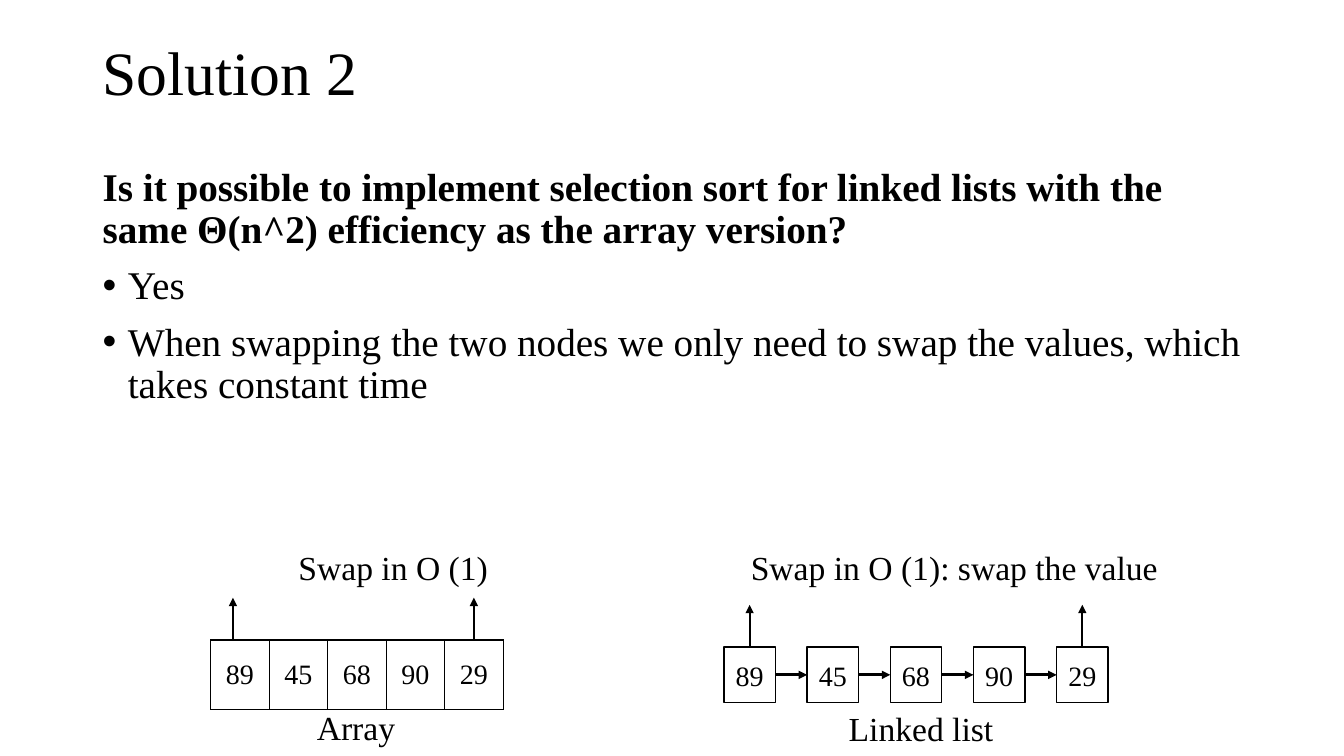
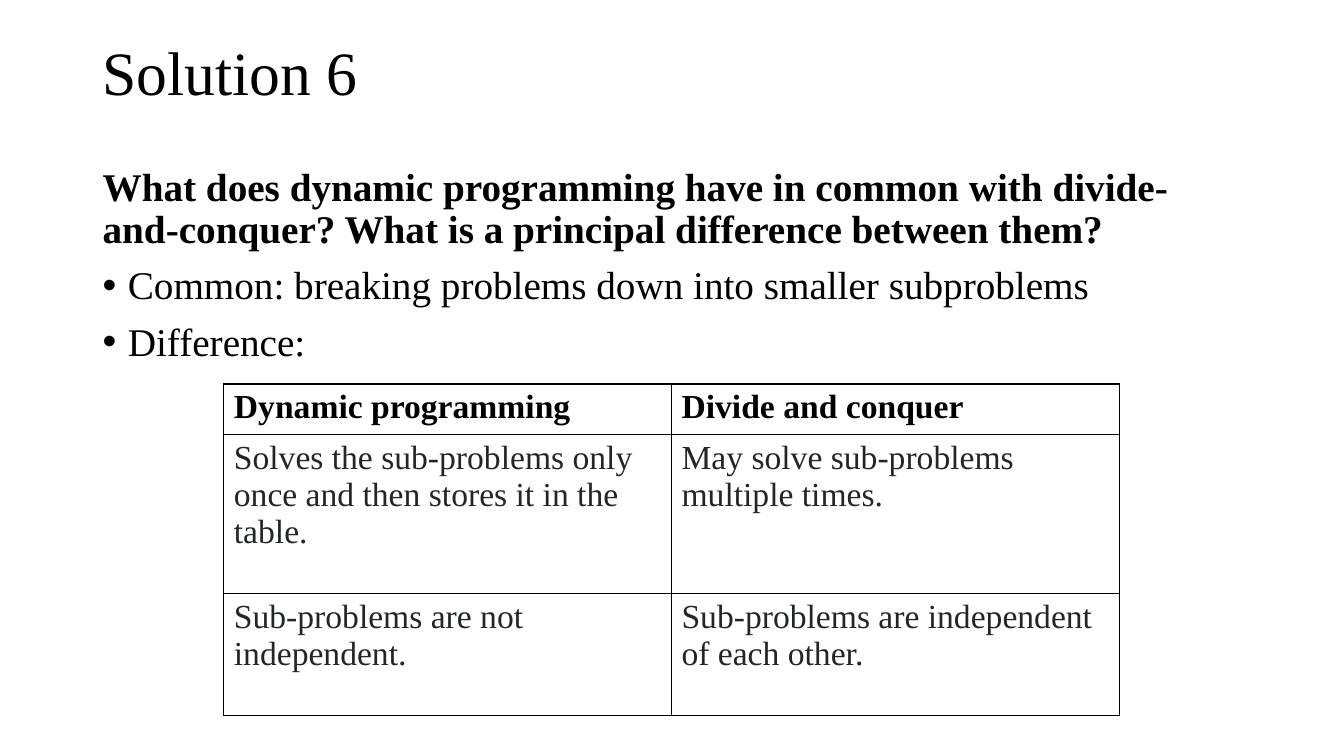
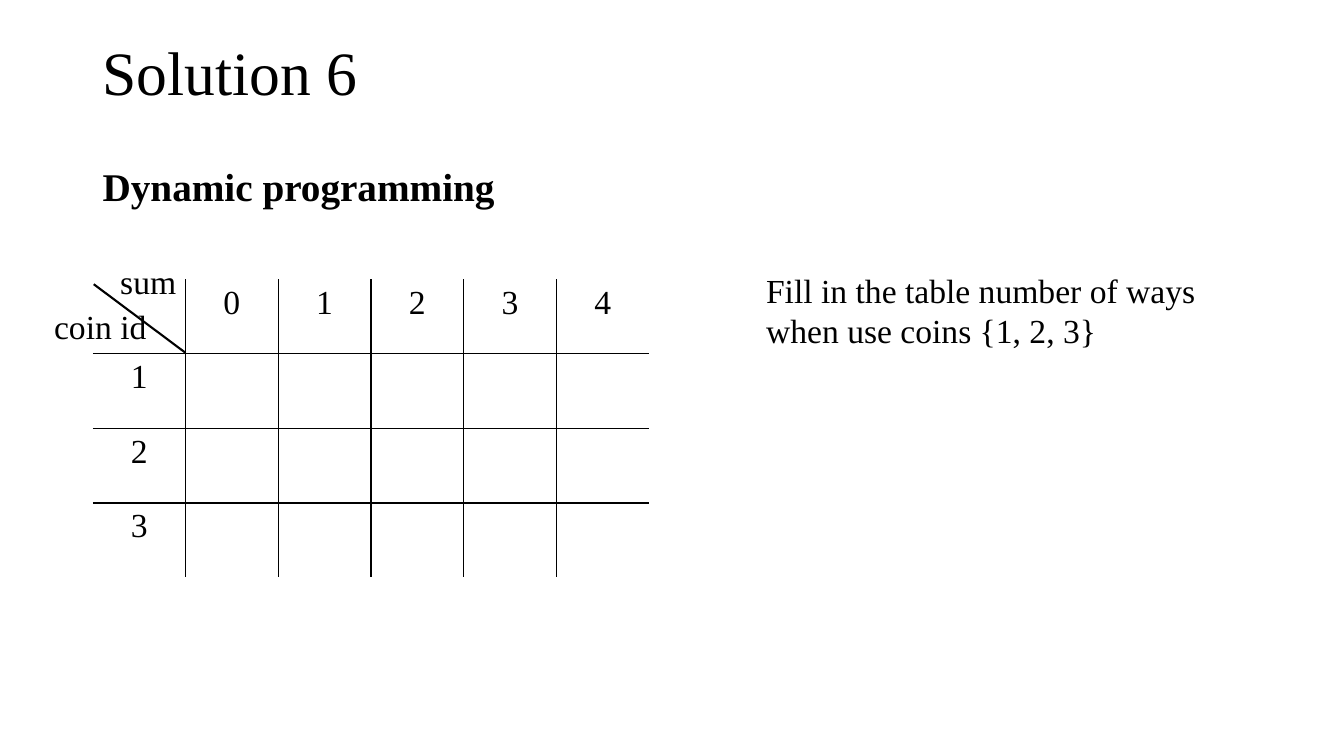
from dataclasses import dataclass
from typing import Any, NamedTuple

from lxml import etree
from pptx import Presentation
from pptx.dml.color import RGBColor
from pptx.enum.shapes import MSO_CONNECTOR, MSO_SHAPE
from pptx.enum.text import MSO_ANCHOR, PP_ALIGN
from pptx.oxml.ns import qn
from pptx.util import Inches, Pt

BLACK = RGBColor(0x00, 0x00, 0x00)
CHARCOAL = RGBColor(0x23, 0x26, 0x29)
FONT = "Times New Roman"
STRAIGHT = MSO_CONNECTOR.STRAIGHT
RECTANGLE = MSO_SHAPE.RECTANGLE
TOP, MIDDLE = MSO_ANCHOR.TOP, MSO_ANCHOR.MIDDLE
LEFT, CENTER = PP_ALIGN.LEFT, PP_ALIGN.CENTER
SIDE_TOP, SIDE_LEFT, SIDE_RIGHT = 0, 1, 3

VALUES = ["89", "45", "68", "90", "29"]
NODE_PITCH = (10.48 - 7.18) / 4
ALL_EDGES = "LRTB"


class Box(NamedTuple):
    left: float
    top: float
    width: float
    height: float

    def lengths(self) -> list[Any]:
        return [Inches(value) for value in self]


TITLE_BOX = Box(0.92, 0.02, 11.5, 1.45)
BODY_BOX = Box(0.92, 1.61, 11.5, 5.14)


@dataclass(frozen=True)
class Style:
    size: int = 24
    bold: bool = False
    color: RGBColor = BLACK
    align: Any = LEFT
    anchor: Any = TOP
    wrap: bool = True
    spacing: float = 1.0
    before: int = 0
    bullet: bool = False


TITLE = Style(size=44, anchor=MIDDLE, spacing=0.9)
QUESTION = Style(size=28, bold=True, spacing=0.9, before=10)
ANSWER = Style(size=28, spacing=0.9, before=10, bullet=True)
NOTE = Style()
LABEL = Style(align=CENTER)
AXIS_LABEL = Style(align=CENTER, wrap=False)
VALUE = Style(size=20, align=CENTER, anchor=MIDDLE)
TABLE_HEAD = Style(bold=True)
TABLE_TEXT = Style(color=CHARCOAL)


@dataclass(frozen=True)
class Label:
    text: str
    box: Box
    style: Style = LABEL


SWAP_LABELS = [
    Label("Array", Box(2.34, 6.96, 2.38, 0.5)),
    Label("Linked list", Box(6.99, 6.97, 4.29, 0.5)),
    Label("Swap in O (1)", Box(2.83, 5.38, 2.14, 0.5)),
    Label("Swap in O (1): swap the value", Box(7.28, 5.38, 4.37, 0.5)),
]
COIN_LABELS = [
    Label("coin id", Box(0.43, 2.99, 1.13, 0.5), AXIS_LABEL),
    Label("sum", Box(1.09, 2.54, 0.76, 0.5), AXIS_LABEL),
    Label("Fill in the table number of ways when use coins {1, 2, 3}", Box(7.5, 2.63, 4.9, 0.91), NOTE),
]


def apply_format(target: Any, values: dict[str, Any]) -> None:
    for attribute, value in values.items():
        setattr(target, attribute, value)


def write_paragraph(paragraph: Any, text: str, style: Style) -> None:
    apply_format(paragraph, {
        "alignment": style.align,
        "line_spacing": style.spacing,
        "space_before": Pt(style.before),
    })
    if style.bullet:
        properties = paragraph._p.get_or_add_pPr()
        properties.set("marL", str(Inches(0.25)))
        properties.set("indent", str(Inches(-0.25)))
        etree.SubElement(properties, qn("a:buFont")).set("typeface", "Arial")
        etree.SubElement(properties, qn("a:buChar")).set("char", "•")
    run = paragraph.add_run()
    run.text = text
    apply_format(run.font, {"name": FONT, "size": Pt(style.size), "bold": style.bold})
    run.font.color.rgb = style.color


def write_frame(frame: Any, lines: list[tuple[str, Style]]) -> None:
    style = lines[0][1]
    apply_format(frame, {"word_wrap": style.wrap, "vertical_anchor": style.anchor})
    for index, (text, line_style) in enumerate(lines):
        paragraph = frame.add_paragraph() if index else frame.paragraphs[0]
        write_paragraph(paragraph, text, line_style)


def add_text(slide: Any, box: Box, lines: list[tuple[str, Style]]) -> None:
    write_frame(slide.shapes.add_textbox(*box.lengths()).text_frame, lines)


def add_labels(slide: Any, labels: list[Label]) -> None:
    for label in labels:
        add_text(slide, label.box, [(label.text, label.style)])


def add_content_slide(deck: Any, title: str, question: str, answers: list[str]) -> Any:
    slide = deck.slides.add_slide(deck.slide_layouts[6])
    add_text(slide, TITLE_BOX, [(title, TITLE)])
    add_text(slide, BODY_BOX, [(question, QUESTION)] + [(answer, ANSWER) for answer in answers])
    return slide


def add_line(slide: Any, start: tuple[float, float], end: tuple[float, float],
             weight: float = 1.5, arrow: bool = True) -> Any:
    ends = [Inches(value) for value in (*start, *end)]
    connector = slide.shapes.add_connector(STRAIGHT, *ends)
    connector.line.color.rgb = BLACK
    connector.line.width = Pt(weight)
    if arrow:
        tail = etree.SubElement(connector.line._get_or_add_ln(), qn("a:tailEnd"))
        tail.set("type", "triangle")
    etree.SubElement(connector._element.spPr, qn("a:effectLst"))
    return connector


def set_borders(cell: Any, edges: str) -> None:
    properties = cell._tc.get_or_add_tcPr()
    for edge in ALL_EDGES:
        border = etree.SubElement(properties, qn(f"a:ln{edge}"))
        border.set("w", str(Pt(1)))
        if edge in edges:
            fill = etree.SubElement(border, qn("a:solidFill"))
            etree.SubElement(fill, qn("a:srgbClr")).set("val", str(BLACK))
        else:
            etree.SubElement(border, qn("a:noFill"))


def inner_edges(row: int, column: int, rows: int, columns: int) -> str:
    present = {"L": column > 0, "R": column < columns - 1, "T": row > 0, "B": row < rows - 1}
    return "".join(edge for edge, shown in present.items() if shown)


def add_grid(slide: Any, left: float, top: float, column_width: float, row_heights: list[float],
             texts: list[list[str]], head: Style, body: Style, framed: bool = True) -> None:
    rows, columns = len(texts), len(texts[0])
    box = Box(left, top, column_width * columns, sum(row_heights))
    table = slide.shapes.add_table(rows, columns, *box.lengths()).table
    apply_format(table, {"first_row": False, "horz_banding": False})
    for column in table.columns:
        column.width = Inches(column_width)
    for row, height in enumerate(row_heights):
        table.rows[row].height = Inches(height)
        style = body if row else head
        for column, text in enumerate(texts[row]):
            cell = table.cell(row, column)
            set_borders(cell, ALL_EDGES if framed else inner_edges(row, column, rows, columns))
            cell.fill.background()
            cell.vertical_anchor = style.anchor
            if text:
                write_paragraph(cell.text_frame.paragraphs[0], text, style)


def add_node(slide: Any, box: Box, text: str) -> Any:
    node = slide.shapes.add_shape(RECTANGLE, *box.lengths())
    node.shadow.inherit = False
    node.fill.background()
    node.line.color.rgb = BLACK
    node.line.width = Pt(1)
    write_frame(node.text_frame, [(text, VALUE)])
    return node


def add_linked_list(slide: Any) -> None:
    boxes = [Box(7.18 + NODE_PITCH * index, 6.42, 0.51, 0.55) for index in range(len(VALUES))]
    nodes = [add_node(slide, box, value) for box, value in zip(boxes, VALUES)]
    for index in range(len(nodes) - 1):
        link = add_line(slide, (boxes[index].left + 0.51, 6.69), (boxes[index + 1].left, 6.69), 2)
        link.begin_connect(nodes[index], SIDE_RIGHT)
        link.end_connect(nodes[index + 1], SIDE_LEFT)
    for index in (0, -1):
        center = boxes[index].left + boxes[index].width / 2
        pointer = add_line(slide, (center, 6.42), (center, 6))
        pointer.begin_connect(nodes[index], SIDE_TOP)


def build_swap_slide(deck: Any) -> None:
    slide = add_content_slide(
        deck, "Solution 2",
        "Is it possible to implement selection sort for linked lists with the same Θ(n^2) "
        "efficiency as the array version?",
        ["Yes", "When swapping the two nodes we only need to swap the values, which takes constant time"],
    )
    add_grid(slide, 2.09, 6.35, 0.58, [0.69], [VALUES], VALUE, VALUE)
    for pointer_x in (2.31, 4.7):
        add_line(slide, (pointer_x, 6.35), (pointer_x, 5.93))
    add_linked_list(slide)
    add_labels(slide, SWAP_LABELS)


def build_comparison_slide(deck: Any) -> None:
    slide = add_content_slide(
        deck, "Solution 6",
        "What does dynamic programming have in common with divide-and-conquer? "
        "What is a principal difference between them?",
        ["Common: breaking problems down into smaller subproblems", "Difference:"],
    )
    comparison = [
        ["Dynamic programming", "Divide and conquer"],
        ["Solves the sub-problems only once and then stores it in the table.",
         "May solve sub-problems multiple times."],
        ["Sub-problems are not independent.", "Sub-problems are independent of each other."],
    ]
    add_grid(slide, 2.22, 3.81, 4.44, [0.47, 1.58, 1.21], comparison, TABLE_HEAD, TABLE_TEXT)


def build_coin_slide(deck: Any) -> None:
    slide = add_content_slide(deck, "Solution 6", "Dynamic programming", [])
    sums = [str(total) for total in range(5)]
    coins = [[str(coin)] + [""] * len(sums) for coin in range(1, 4)]
    add_grid(slide, 0.92, 2.77, 0.92, [0.74] * 4, [[""] + sums] + coins, LABEL, LABEL, framed=False)
    add_line(slide, (1.84, 3.5), (0.93, 2.82), arrow=False)
    add_labels(slide, COIN_LABELS)


def main() -> None:
    deck = Presentation()
    apply_format(deck, {"slide_width": Inches(13.33), "slide_height": Inches(7.5)})
    build_swap_slide(deck)
    build_comparison_slide(deck)
    build_coin_slide(deck)
    deck.save("out.pptx")


if __name__ == "__main__":
    main()
